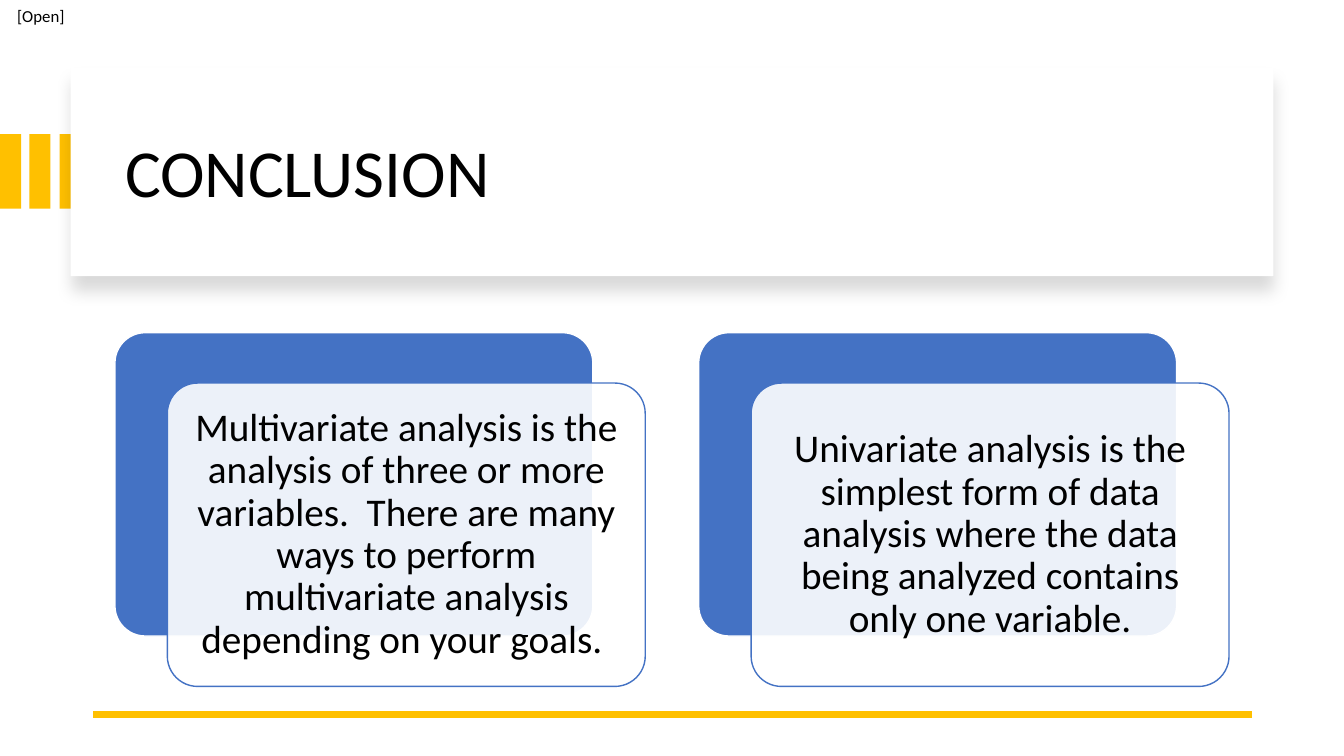
"""Builds the conclusion slide with two overlapping-card statements."""
from lxml.etree import SubElement
from pptx import Presentation
from pptx.dml.color import RGBColor
from pptx.enum.shapes import MSO_CONNECTOR, MSO_SHAPE
from pptx.enum.text import MSO_ANCHOR, MSO_AUTO_SIZE, PP_ALIGN
from pptx.oxml.ns import qn
from pptx.util import Emu, Pt

BLACK = RGBColor(0x00, 0x00, 0x00)
WHITE = RGBColor(0xFF, 0xFF, 0xFF)
GOLD = RGBColor(0xFF, 0xC0, 0x00)
BLUE = RGBColor(0x44, 0x72, 0xC4)
FONT = "Calibri"
EMU_PER_PX = 9144

STATEMENTS = [
    "Multivariate analysis is the analysis of three or more variables.  There are many "
    "ways to perform multivariate analysis depending on your goals. ",
    "Univariate analysis is the simplest form of data analysis where the data being "
    "analyzed contains only one variable.",
]


def px(length):
    return Emu(length * EMU_PER_PX)


class Painter:
    def __init__(self, page):
        self.page = page
        self.shapes = page.shapes

    def fill_text(self, box, text, size, align, inset, spacing=None, wrap=True):
        frame = box.text_frame
        frame.word_wrap = wrap
        frame.auto_size = MSO_AUTO_SIZE.NONE
        frame.vertical_anchor = MSO_ANCHOR.MIDDLE
        frame.margin_left = frame.margin_right = px(inset)
        frame.margin_top = frame.margin_bottom = px(inset)
        para = frame.paragraphs[0]
        para.alignment = align
        para.line_spacing = spacing
        span = para.add_run()
        span.text = text
        span.font.name = FONT
        span.font.size = Pt(size)
        span.font.color.rgb = BLACK

    def text(self, area, text, size, inset, **style):
        box = self.shapes.add_textbox(*map(px, area))
        self.fill_text(box, text, size, PP_ALIGN.CENTER, inset, **style)

    def title(self, area, text):
        box = self.shapes.title
        box.left, box.top, box.width, box.height = map(px, area)
        self.shapes._spTree.append(box._element)
        self.fill_text(box, text, 48, PP_ALIGN.LEFT, 10, spacing=0.9)

    def shape(self, kind, area, fill, line=None):
        shape = self.shapes.add_shape(kind, *map(px, area))
        shape.shadow.inherit = False
        shape.fill.solid()
        shape.fill.fore_color.rgb = fill
        if line is None:
            shape.line.fill.background()
        else:
            shape.line.color.rgb = line
            shape.line.width = Pt(1)
        return shape

    def rounded(self, area, fill, line):
        card = self.shape(MSO_SHAPE.ROUNDED_RECTANGLE, area, fill, line)
        card.adjustments[0] = 0.1
        return card

    def panel(self, area):
        panel = self.shape(MSO_SHAPE.RECTANGLE, area, WHITE)
        effects = panel._element.spPr.find(qn("a:effectLst"))
        shadow = SubElement(effects, qn("a:outerShdw"), blurRad=str(Pt(11)),
                            dist=str(Pt(10)), dir="5400000", algn="t", rotWithShape="0")
        color = SubElement(shadow, qn("a:srgbClr"), val=str(BLACK))
        SubElement(color, qn("a:alpha"), val="15000")

    def card(self, left, top, text):
        self.rounded((left, top, 474, 301), BLUE, WHITE)
        front = self.rounded((left + 52, top + 50, 474, 301), WHITE, BLUE)
        color = front._element.spPr.find(qn("a:solidFill")).find(qn("a:srgbClr"))
        SubElement(color, qn("a:alpha"), val="90000")
        self.text((left + 61, top + 59, 456, 283), text, 28, 12, spacing=0.9)

    def rule(self, start, end, y):
        rule = self.shapes.add_connector(
            MSO_CONNECTOR.STRAIGHT, px(start), px(y), px(end), px(y))
        rule.line.color.rgb = GOLD
        rule.line.width = Pt(4.5)
        SubElement(rule._element.spPr, qn("a:effectLst"))


def main():
    deck = Presentation()
    deck.slide_width, deck.slide_height = px(1333), px(750)
    painter = Painter(deck.slides.add_slide(deck.slide_layouts[5]))
    painter.text((0, 0, 81, 32), "[Open]", 12, 0, wrap=False)
    for left in (0, 29, 59):
        painter.shape(MSO_SHAPE.RECTANGLE, (left, 133, 21, 74), GOLD)
    painter.panel((70, 67, 1193, 207))
    painter.title((114, 89, 1113, 170), "CONCLUSION")
    painter.rule(1242, 92, 709)
    for index, statement in enumerate(STATEMENTS):
        painter.card(114 + 579 * index, 330, statement)
    deck.save("out.pptx")


if __name__ == "__main__":
    main()
